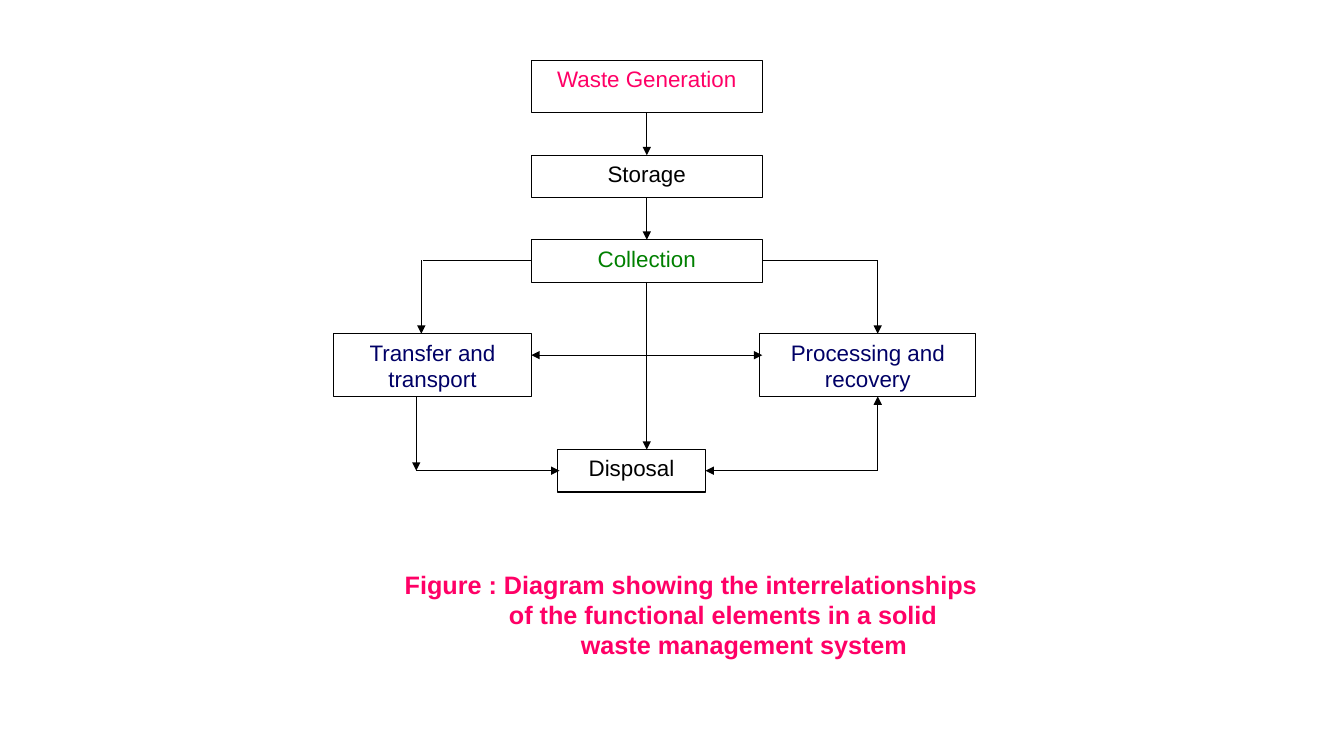
"""Build a slide with a flow diagram of a solid waste management system."""
from lxml.etree import SubElement
from pptx import Presentation
from pptx.dml.color import RGBColor
from pptx.enum.shapes import MSO_CONNECTOR, MSO_SHAPE
from pptx.enum.text import MSO_ANCHOR, PP_ALIGN
from pptx.oxml.ns import qn
from pptx.util import Cm, Pt

COLORS = {"pink": "FF0066", "green": "008000", "navy": "000066",
          "black": "000000", "white": "FFFFFF"}


def color(name):
    return RGBColor.from_string(COLORS[name])


def write(para, text, size=16, tint="black", bold=False, indent=0):
    para.alignment = PP_ALIGN.CENTER
    if indent:
        props = para._p.get_or_add_pPr()
        props.set("marL", str(Cm(indent)))
        props.set("indent", "0")
    run = para.add_run()
    run.text = text
    run.font.name = "Arial"
    run.font.size = Pt(size)
    run.font.bold = bold
    run.font.color.rgb = color(tint)


class Chart:
    def __init__(self, slide, width=0.75):
        self.shapes = slide.shapes
        self.width = Pt(width)

    def box(self, text, left, top, width, height, tint="black"):
        shape = self.shapes.add_shape(MSO_SHAPE.RECTANGLE, Cm(left), Cm(top),
                                      Cm(width), Cm(height))
        shape.shadow.inherit = False
        shape.fill.solid()
        shape.fill.fore_color.rgb = color("white")
        shape.line.color.rgb = color("black")
        shape.line.width = self.width
        frame = shape.text_frame
        frame.word_wrap = True
        frame.vertical_anchor = MSO_ANCHOR.TOP
        write(frame.paragraphs[0], text, tint=tint)

    def line(self, start, end, heads=()):
        link = self.shapes.add_connector(MSO_CONNECTOR.STRAIGHT,
                                         *map(Cm, start + end))
        link.line.color.rgb = color("black")
        link.line.width = self.width
        for head in heads:
            SubElement(link.line._get_or_add_ln(), qn(f"a:{head}"),
                       type="triangle")
        SubElement(link._element.spPr, qn("a:effectLst"))

    def title(self, lines, left, top, width, height):
        area = self.shapes.add_textbox(Cm(left), Cm(top), Cm(width), Cm(height))
        frame = area.text_frame
        frame.word_wrap = True
        for i, (text, indent) in enumerate(lines):
            para = frame.add_paragraph() if i else frame.paragraphs[0]
            write(para, text, size=18, tint="pink", bold=True, indent=indent)


def main():
    deck = Presentation()
    deck.slide_width, deck.slide_height = Cm(33.87), Cm(19.05)
    chart = Chart(deck.slides.add_slide(deck.slide_layouts[6]))

    left, right, mid = 13.39, 19.21, 16.3
    wide, low = right - left, 1.07
    chart.box("Waste Generation", left, 1.52, wide, 1.32, "pink")
    chart.box("Storage", left, 3.91, wide, low)
    chart.box("Collection", left, 6.04, wide, low, "green")
    chart.box("Transfer and transport", 8.41, 8.41, 4.98, 1.58, "navy")
    chart.box("Processing and recovery", 19.15, 8.41, 5.44, 1.58, "navy")
    chart.box("Disposal", 14.05, 11.33, 3.73, low)

    tail, both = ("tailEnd",), ("headEnd", "tailEnd")
    for top, end in ((2.84, 3.91), (4.98, 6.04), (7.1, 11.33)):
        chart.line((mid, top), (mid, end), tail)
    east, west, south = 22.12, 10.62, 10.49
    fork, cross, base = 6.56, 8.95, 11.86
    chart.line((right, fork), (east, fork))
    chart.line((east, fork), (east, 8.41), tail)
    chart.line((10.67, fork), (left, fork))
    chart.line((west, fork), (west, 8.41), tail)
    chart.line((left, cross), (right, cross), both)
    chart.line((east, base), (17.78, base), tail)
    chart.line((east, base), (east, 9.99), tail)
    chart.line((south, 9.99), (south, base), tail)
    chart.line((south, base), (14.1, base), tail)

    chart.title((("Figure : Diagram showing the interrelationships", 1.27),
                 ("of the functional elements in a solid", 2.89),
                 ("waste management system", 3.94)), 2.95, 14.22, 27.66, 2.39)
    deck.save("out.pptx")


if __name__ == "__main__":
    main()
